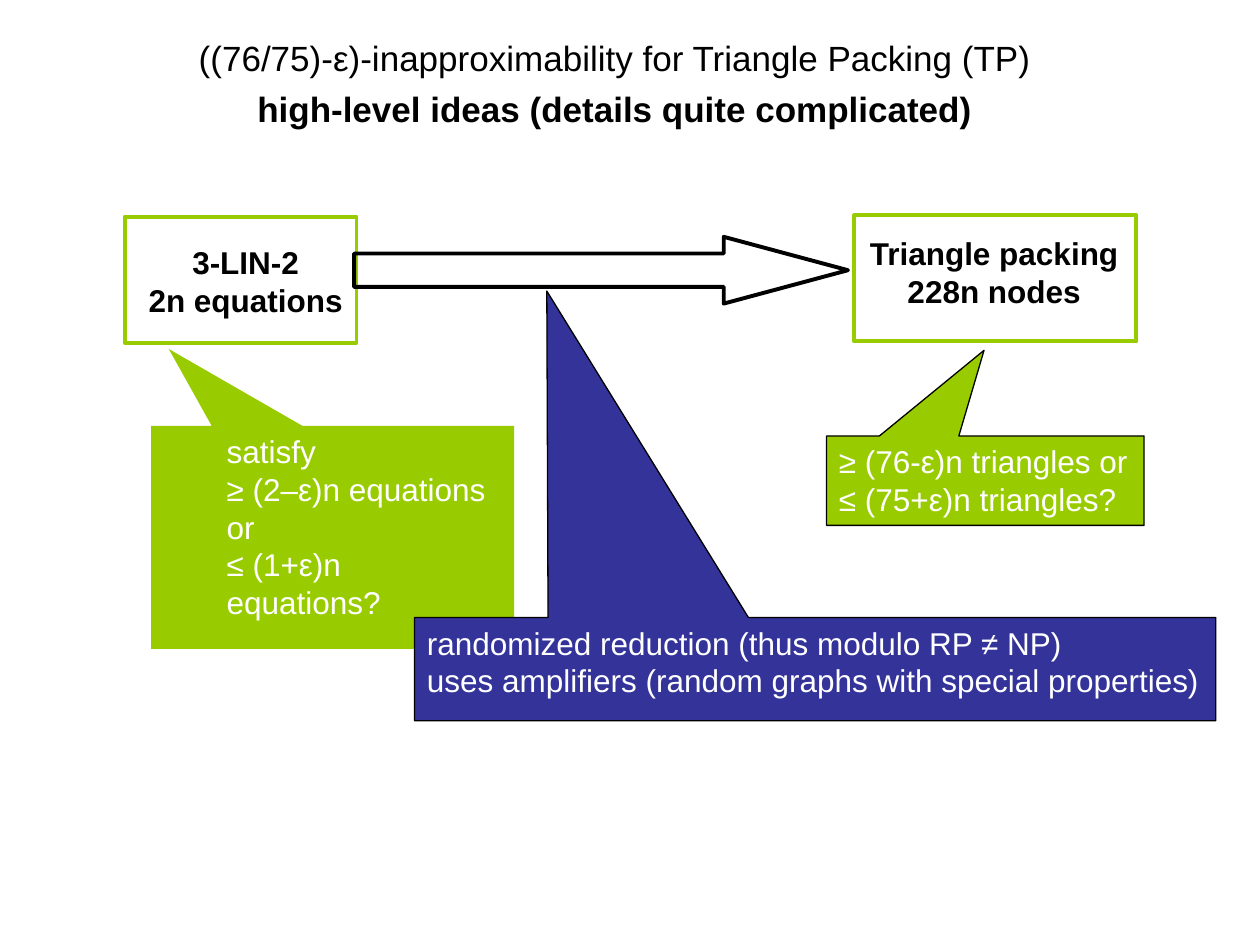
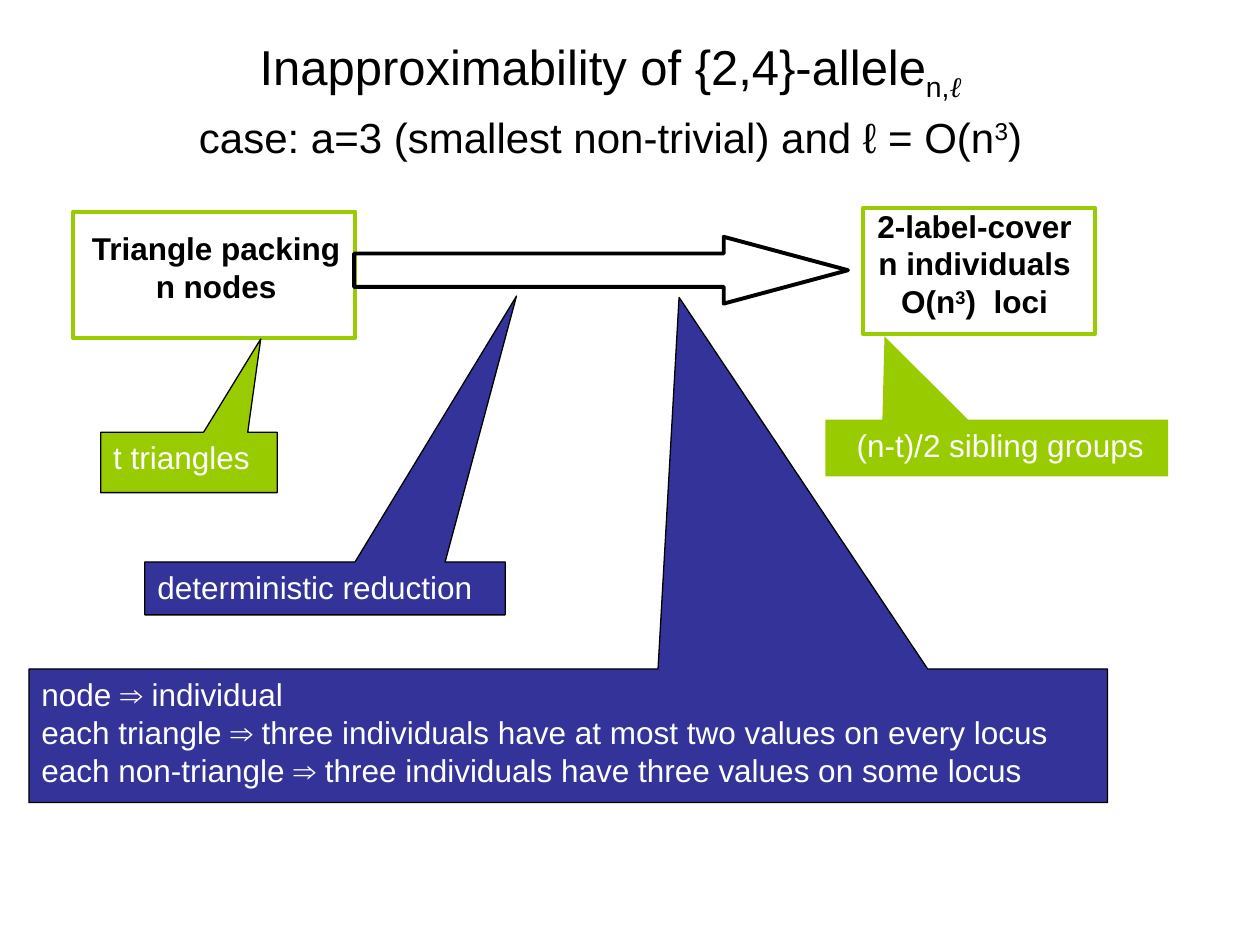
"""Build two slides that show reductions between hard problems."""
from typing import NamedTuple, Optional

from pptx import Presentation
from pptx.dml.color import RGBColor
from pptx.enum.shapes import MSO_SHAPE as Shape
from pptx.enum.text import MSO_ANCHOR as Anchor, MSO_AUTO_SIZE as AutoSize, PP_ALIGN as Align
from pptx.util import Emu, Inches, Pt

COLUMNS, ROWS = 100, 75
WIDTH, HEIGHT = Inches(10), Inches(7.5)
BLACK = RGBColor(0, 0, 0)
WHITE = RGBColor(0xFF, 0xFF, 0xFF)
GREEN = RGBColor(0x99, 0xCC, 0x00)
BLUE = RGBColor(0x33, 0x33, 0x99)
FONT = "Arial"
THICK, THIN = 2.25, 0.75
SUPERSCRIPT, SUBSCRIPT = 30, -25


class Area(NamedTuple):
    column: float
    row: float
    columns: float
    rows: float


class Span(NamedTuple):
    text: str
    size: float = 18
    bold: bool = False
    baseline: int = 0
    font: str = FONT
    italic: bool = False


Line = list[Span]


class Problem(NamedTuple):
    frame: Area
    label_area: Area
    label: list[Line]


class Callout(NamedTuple):
    area: Area
    tip: tuple[float, float]
    fill: RGBColor
    lines: list[str]
    outlined: bool = True
    indent_columns: float = 0


class Reduction(NamedTuple):
    heading: list[Line]
    heading_gap: float
    problems: list[Problem]
    callouts: list[Callout]


HEADING = Area(3.8, 2.4, 90, 12)
ARROW = Area(28.1, 18.8, 39.2, 5.3)


def bold(text: str, baseline: int = 0) -> Span:
    """Make a bold span of label size."""
    return Span(text, bold=True, baseline=baseline)


REDUCTIONS = [
    Reduction(
        [[Span("((76/75)-ε)-inapproximability for Triangle Packing (TP)", 20)],
         [Span("high-level ideas (details quite complicated)", 20, True)]],
        5,
        [Problem(Area(9.9, 17.2, 18.4, 10), Area(10.8, 18.8, 17.4, 7),
                 [[bold("3-LIN-2")], [bold("2n equations")]]),
         Problem(Area(67.8, 17.1, 22.4, 10), Area(68, 18.1, 21.8, 7),
                 [[bold("Triangle packing")], [bold("228n nodes")]])],
        [Callout(Area(12, 33.8, 28.8, 17.7), (13.4, 27.7), GREEN,
                 ["satisfy", "≥ (2–ε)n equations or", "≤ (1+ε)n equations?"],
                 outlined=False, indent_columns=5),
         Callout(Area(65.6, 34.6, 25.2, 7.1), (78.1, 27.8), GREEN,
                 ["≥ (76-ε)n triangles or", "≤ (75+ε)n triangles?"]),
         Callout(Area(32.9, 49, 63.6, 8.2), (43.4, 23.1), BLUE,
                 ["randomized reduction (thus modulo RP ≠ NP)",
                  "uses amplifiers (random graphs with special properties)"])]),
    Reduction(
        [[Span("Inapproximability of {2,4}-allele", 28),
          Span("n,", 28, baseline=SUBSCRIPT),
          Span("ℓ", 28, baseline=SUBSCRIPT, font="Times New Roman", italic=True),
          bold(" ")],
         [Span("case: a=3 (smallest non-trivial) and ℓ = O(n", 24),
          Span("3", 24, baseline=SUPERSCRIPT), Span(")", 24), Span(" ")]],
        4.5,
        [Problem(Area(68.5, 16.5, 18.4, 10), Area(66.7, 15.9, 21.3, 10),
                 [[bold("2-label-cover")], [bold("n individuals")],
                  [bold("O(n"), bold("3", SUPERSCRIPT), bold(")  loci")]]),
         Problem(Area(5.8, 16.8, 22.4, 10), Area(6.2, 17.7, 21.9, 7),
                 [[bold("Triangle packing")], [bold("n nodes")]])],
        [Callout(Area(65.5, 33.3, 27.2, 4.5), (70.2, 26.7), GREEN,
                 ["(n-t)/2 sibling groups"], outlined=False, indent_columns=1.5),
         Callout(Area(8, 34.3, 14, 4.8), (20.7, 26.9), GREEN, ["t triangles"]),
         Callout(Area(11.5, 44.6, 28.6, 4.2), (41, 23.5), BLUE, ["deterministic reduction"]),
         Callout(Area(2.3, 53.1, 85.6, 10.6), (53.9, 23.6), BLUE,
                 ["node ⇒ individual",
                  "each triangle ⇒ three individuals have at most two values on every locus",
                  "each non-triangle ⇒ three individuals have three values on some locus"])]),
]


def place(area: Area) -> tuple[Emu, Emu, Emu, Emu]:
    """Turn grid columns and rows into slide lengths."""
    across, down = WIDTH / COLUMNS, HEIGHT / ROWS
    return (Emu(round(area.column * across)), Emu(round(area.row * down)),
            Emu(round(area.columns * across)), Emu(round(area.rows * down)))


def write(frame, lines: list[Line], color: RGBColor, align: Align,
          gap: float = 0, wrap: bool = True) -> None:
    """Fill a text frame from the top with formatted lines."""
    frame.word_wrap = wrap
    frame.auto_size = AutoSize.NONE
    frame.vertical_anchor = Anchor.TOP
    for number, line in enumerate(lines):
        para = frame.add_paragraph() if number else frame.paragraphs[0]
        para.alignment = align
        para.space_before = Pt(gap if number else 0)
        for span in line:
            run = para.add_run()
            run.text = span.text
            run.font.name = span.font
            run.font.size = Pt(span.size)
            run.font.bold = span.bold
            run.font.italic = span.italic
            run.font.color.rgb = color
            if span.baseline:
                run._r.get_or_add_rPr().set("baseline", str(span.baseline * 1000))


def add_figure(page, kind: Shape, area: Area, fill: Optional[RGBColor],
               line: Optional[RGBColor], weight: float):
    """Draw a preset shape with an optional fill and outline."""
    figure = page.shapes.add_shape(kind, *place(area))
    figure.shadow.inherit = False
    if fill is None:
        figure.fill.background()
    else:
        figure.fill.solid()
        figure.fill.fore_color.rgb = fill
    if line is None:
        figure.line.fill.background()
    else:
        figure.line.color.rgb = line
        figure.line.width = Pt(weight)
    return figure


def add_problem(page, problem: Problem) -> None:
    """Draw a framed problem and its label."""
    add_figure(page, Shape.RECTANGLE, problem.frame, None, GREEN, THICK)
    label = page.shapes.add_textbox(*place(problem.label_area))
    write(label.text_frame, problem.label, BLACK, Align.CENTER, wrap=False)


def add_callout(page, callout: Callout) -> None:
    """Draw a callout whose wedge ends at its tip."""
    area = callout.area
    box = add_figure(page, Shape.RECTANGULAR_CALLOUT, area, callout.fill,
                     BLACK if callout.outlined else None, THIN)
    box.adjustments[0] = (callout.tip[0] - area.column) / area.columns - 0.5
    box.adjustments[1] = (callout.tip[1] - area.row) / area.rows - 0.5
    write(box.text_frame, [[Span(text)] for text in callout.lines], WHITE, Align.LEFT)
    indent = round(callout.indent_columns * WIDTH / COLUMNS)
    for para in box.text_frame.paragraphs:
        para._p.get_or_add_pPr().set("marL", str(indent))


def add_reduction(deck, reduction: Reduction) -> None:
    """Add a slide with a heading, two problems, an arrow and callouts."""
    page = deck.slides.add_slide(deck.slide_layouts[5])
    heading = page.shapes.title
    heading.left, heading.top, heading.width, heading.height = place(HEADING)
    write(heading.text_frame, reduction.heading, BLACK, Align.CENTER, reduction.heading_gap)
    for problem in reduction.problems:
        add_problem(page, problem)
    arrow = add_figure(page, Shape.RIGHT_ARROW, ARROW, None, BLACK, THICK)
    arrow.adjustments[0], arrow.adjustments[1] = 0.5, 1.86
    for callout in reduction.callouts:
        add_callout(page, callout)


def main() -> None:
    """Build and save the deck."""
    deck = Presentation()
    deck.slide_width, deck.slide_height = WIDTH, HEIGHT
    for reduction in REDUCTIONS:
        add_reduction(deck, reduction)
    deck.save("out.pptx")


if __name__ == "__main__":
    main()
